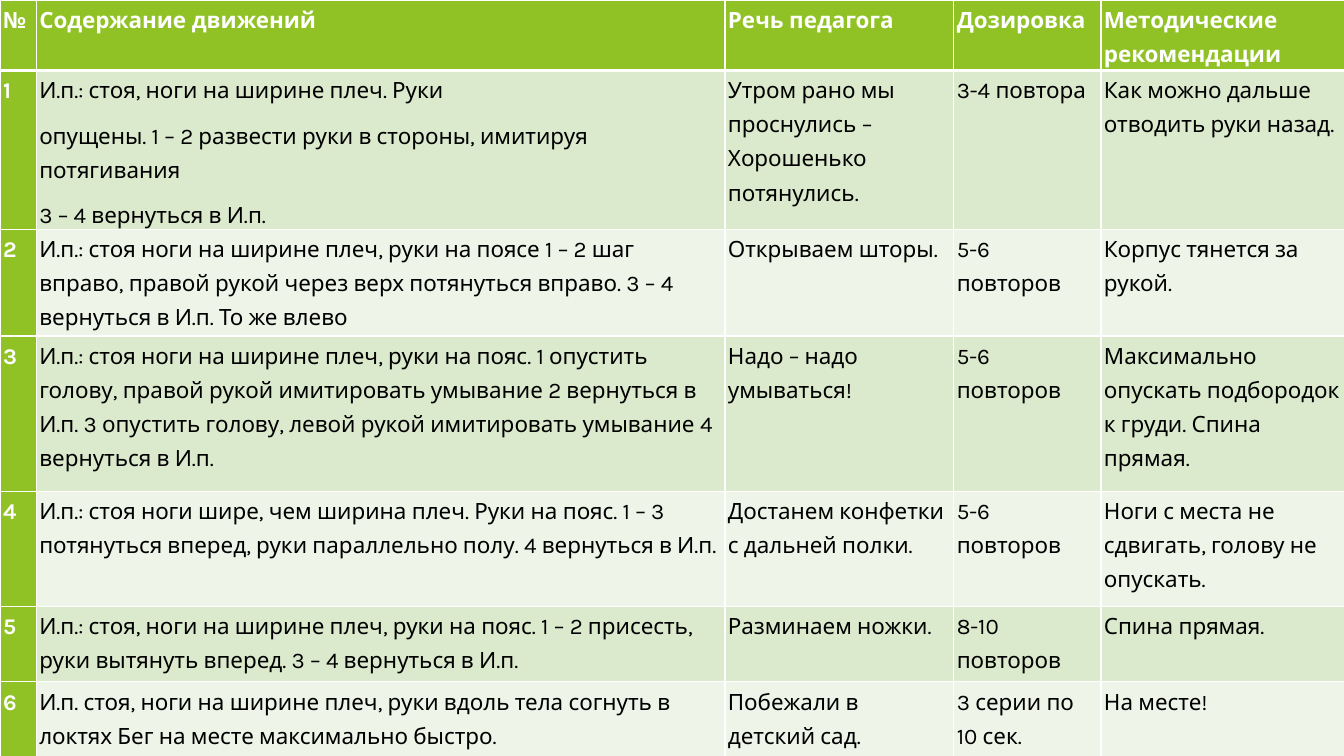
from dataclasses import dataclass

from lxml.etree import SubElement
from pptx import Presentation
from pptx.dml.color import RGBColor
from pptx.oxml.ns import qn
from pptx.table import _Cell
from pptx.util import Inches, Pt

COLORS = {
    "green": "90C226",
    "odd": "DBE9CD",
    "even": "EEF4E8",
    "white": "FFFFFF",
    "black": "000000",
}
FONT = "Karla"
WIDTHS = [0.36, 6.83, 2.27, 1.46, 2.42]
HEADS = ["№", "Содержание движений", "Речь педагога", "Дозировка",
         "Методические рекомендации"]


@dataclass
class Drill:
    moves: list[str]
    speech: str
    dose: str
    advice: str
    height: float


DRILLS = [
    Drill(["И.п.: стоя, ноги на ширине плеч. Руки",
           "опущены. 1 – 2 развести руки в стороны, имитируя потягивания",
           "3 – 4 вернуться в И.п."],
          "Утром рано мы проснулись – Хорошенько потянулись.",
          "3-4 повтора", "Как можно дальше отводить руки назад.", 1.56),
    Drill(["И.п.: стоя ноги на ширине плеч, руки на поясе 1 – 2 шаг вправо, "
           "правой рукой через верх потянуться вправо. 3 – 4 вернуться в И.п. "
           "То же влево"],
          "Открываем шторы.", "5-6 повторов", "Корпус тянется за рукой.", 1.06),
    Drill(["И.п.: стоя ноги на ширине плеч, руки на пояс. 1 опустить голову, "
           "правой рукой имитировать умывание 2 вернуться в И.п. 3 опустить "
           "голову, левой рукой имитировать умывание 4 вернуться в И.п."],
          "Надо – надо умываться!", "5-6 повторов",
          "Максимально опускать подбородок к груди. Спина прямая.", 1.54),
    Drill(["И.п.: стоя ноги шире, чем ширина плеч. Руки на пояс. 1 – 3 "
           "потянуться вперед, руки параллельно полу. 4 вернуться в И.п."],
          "Достанем конфетки с дальней полки.", "5-6 повторов",
          "Ноги с места не сдвигать, голову не опускать.", 1.14),
    Drill(["И.п.: стоя, ноги на ширине плеч, руки на пояс. 1 – 2 присесть, "
           "руки вытянуть вперед. 3 – 4 вернуться в И.п."],
          "Разминаем ножки.", "8-10 повторов", "Спина прямая.", 0.75),
    Drill(["И.п. стоя, ноги на ширине плеч, руки вдоль тела согнуть в локтях "
           "Бег на месте максимально быстро."],
          "Побежали в детский сад.", "3 серии по 10 сек.", "На месте!", 0.75),
]


def add_edges(cell: _Cell, base: float) -> None:
    """Draw white borders, with the given width in points at the bottom."""
    props = cell._tc.get_or_add_tcPr()
    sides = {"lnL": 1, "lnR": 1, "lnT": 1, "lnB": base}
    for place, (side, width) in enumerate(sides.items()):
        line = SubElement(props, qn(f"a:{side}"), w=str(Pt(width)))
        fill = SubElement(line, qn("a:solidFill"))
        SubElement(fill, qn("a:srgbClr"), val=COLORS["white"])
        props.insert(place, line)


def fill_cell(cell: _Cell, lines: list[str], back: str, strong: bool) -> None:
    cell.margin_left = cell.margin_right = Inches(0.03)
    cell.margin_top = cell.margin_bottom = 0
    cell.fill.solid()
    cell.fill.fore_color.rgb = RGBColor.from_string(COLORS[back])
    frame = cell.text_frame
    for place, text in enumerate(lines):
        para = frame.add_paragraph() if place else frame.paragraphs[0]
        para.line_spacing = 1.3
        para.space_after = Pt(8)
        run = para.add_run()
        run.text = text
        run.font.name = FONT
        run.font.size = Pt(16)
        run.font.bold = strong
        ink = COLORS["white" if strong else "black"]
        run.font.color.rgb = RGBColor.from_string(ink)


def main() -> None:
    deck = Presentation()
    deck.slide_width, deck.slide_height = Inches(13.33), Inches(7.5)
    slide = deck.slides.add_slide(deck.slide_layouts[6])

    rows = [[[head] for head in HEADS]]
    for number, drill in enumerate(DRILLS, 1):
        rows.append([[str(number)], drill.moves, [drill.speech],
                     [drill.dose], [drill.advice]])
    heights = [0.7] + [drill.height for drill in DRILLS]

    table = slide.shapes.add_table(
        len(rows), len(WIDTHS), 0, 0, Inches(13.33), Inches(7.5)).table
    for column, width in zip(table.columns, WIDTHS):
        column.width = Inches(width)
    for r, (row, height) in enumerate(zip(rows, heights)):
        table.rows[r].height = Inches(height)
        for c, lines in enumerate(row):
            strong = r == 0 or c == 0
            back = "green" if strong else "odd" if r % 2 else "even"
            cell = table.cell(r, c)
            fill_cell(cell, lines, back, strong)
            add_edges(cell, 1 if r else 3)

    deck.save("out.pptx")


if __name__ == "__main__":
    main()
